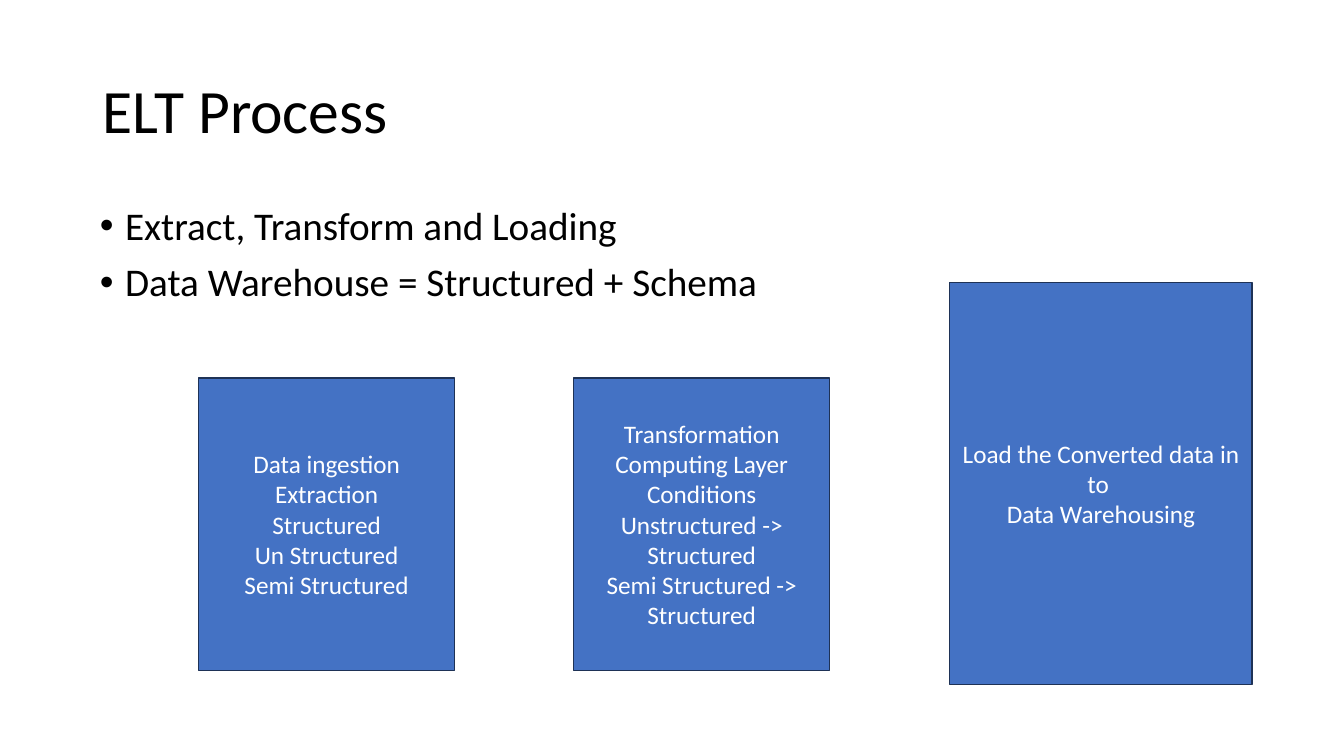
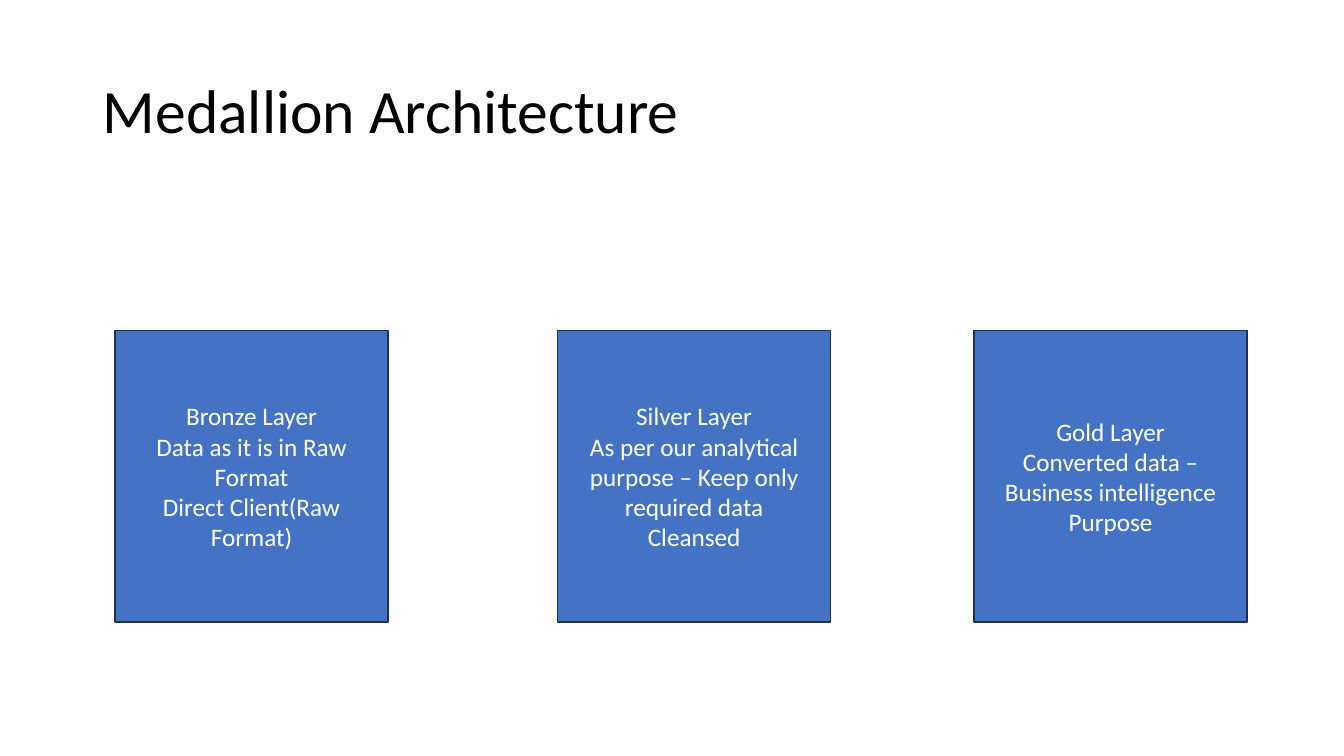
from dataclasses import dataclass

from lxml import etree
from pptx import Presentation
from pptx import util as u
from pptx.dml.color import RGBColor
from pptx.enum import shapes, text
from pptx.oxml.ns import qn


@dataclass(frozen=True)
class Theme:
    font: str = "Calibri"
    ink: str = "000000"
    fill: str = "4472C4"
    edge: str = "1E3256"
    light: str = "FFFFFF"
    head: int = 44
    list: int = 28
    box: int = 18


THEME = Theme()
SCALE = 9144
RECT = shapes.MSO_SHAPE.RECTANGLE
STEP = shapes.MSO_SHAPE.FLOWCHART_PROCESS

LOAD = ["Load the Converted data in to ", "Data Warehousing"]
SHIFT = [
    "Transformation",
    "Computing Layer",
    "Conditions",
    "Unstructured -> Structured",
    "Semi Structured -> Structured",
]
INGEST = [
    "Data ingestion",
    "Extraction",
    "Structured",
    "Un Structured",
    "Semi Structured",
]
LAYERS = [
    (114, ["Bronze Layer", "Data as it is in Raw Format", "Direct Client(Raw Format)"]),
    (553, [
        "Silver Layer",
        "As per our analytical purpose – Keep only required data",
        "Cleansed",
    ]),
    (966, ["Gold Layer", "Converted data – Business intelligence Purpose"]),
]


def px(n):
    return u.Emu(n * SCALE)


def rgb(code):
    return RGBColor.from_string(code)


def place(shape, x, y, w, h):
    shape.left, shape.top, shape.width, shape.height = map(px, (x, y, w, h))


def write(frame, lines, size, color, align, anchor):
    frame.word_wrap = True
    frame.auto_size = text.MSO_AUTO_SIZE.NONE
    frame.vertical_anchor = anchor
    for i, line in enumerate(lines):
        para = frame.paragraphs[0] if i == 0 else frame.add_paragraph()
        para.alignment = align
        run = para.add_run()
        run.text = line
        run.font.name = THEME.font
        run.font.size = u.Pt(size)
        run.font.color.rgb = rgb(color)


def page(deck, layout, title):
    slide = deck.slides.add_slide(deck.slide_layouts[layout])
    head = slide.shapes.title
    place(head, 92, 40, 1150, 145)
    write(head.text_frame, [title], THEME.head, THEME.ink,
          text.PP_ALIGN.LEFT, text.MSO_ANCHOR.MIDDLE)
    head.text_frame.paragraphs[0].line_spacing = 0.9
    return slide


def bullets(slide, lines):
    body = slide.placeholders[1]
    place(body, 89, 200, 1150, 476)
    write(body.text_frame, lines, THEME.list, THEME.ink,
          text.PP_ALIGN.LEFT, text.MSO_ANCHOR.TOP)
    for para in body.text_frame.paragraphs:
        para.line_spacing = 0.9
        para.space_before = u.Pt(10)
        props = para._p.get_or_add_pPr()
        props.set("marL", str(px(25)))
        props.set("indent", str(px(-25)))
        etree.SubElement(props, qn("a:buFont")).set("typeface", "Arial")
        etree.SubElement(props, qn("a:buChar")).set("char", "•")


def box(slide, kind, x, y, w, h, lines):
    shape = slide.shapes.add_shape(kind, px(x), px(y), px(w), px(h))
    shape.shadow.inherit = False
    shape.fill.solid()
    shape.fill.fore_color.rgb = rgb(THEME.fill)
    shape.line.color.rgb = rgb(THEME.edge)
    shape.line.width = u.Pt(1)
    write(shape.text_frame, lines, THEME.box, THEME.light,
          text.PP_ALIGN.CENTER, text.MSO_ANCHOR.MIDDLE)


def process(deck):
    slide = page(deck, 1, "ELT Process")
    bullets(slide, [
        "Extract, Transform and Loading",
        "Data Warehouse = Structured + Schema",
    ])
    box(slide, RECT, 942, 280, 300, 399, LOAD)
    for x, lines in ((569, SHIFT), (197, INGEST)):
        box(slide, RECT, x, 375, 254, 290, lines)


def medals(deck):
    slide = page(deck, 5, "Medallion Architecture")
    for x, lines in LAYERS:
        box(slide, STEP, x, 328, 271, 289, lines)


def main():
    deck = Presentation()
    deck.slide_width, deck.slide_height = px(1333), px(750)
    process(deck)
    medals(deck)
    deck.save("out.pptx")


if __name__ == "__main__":
    main()
